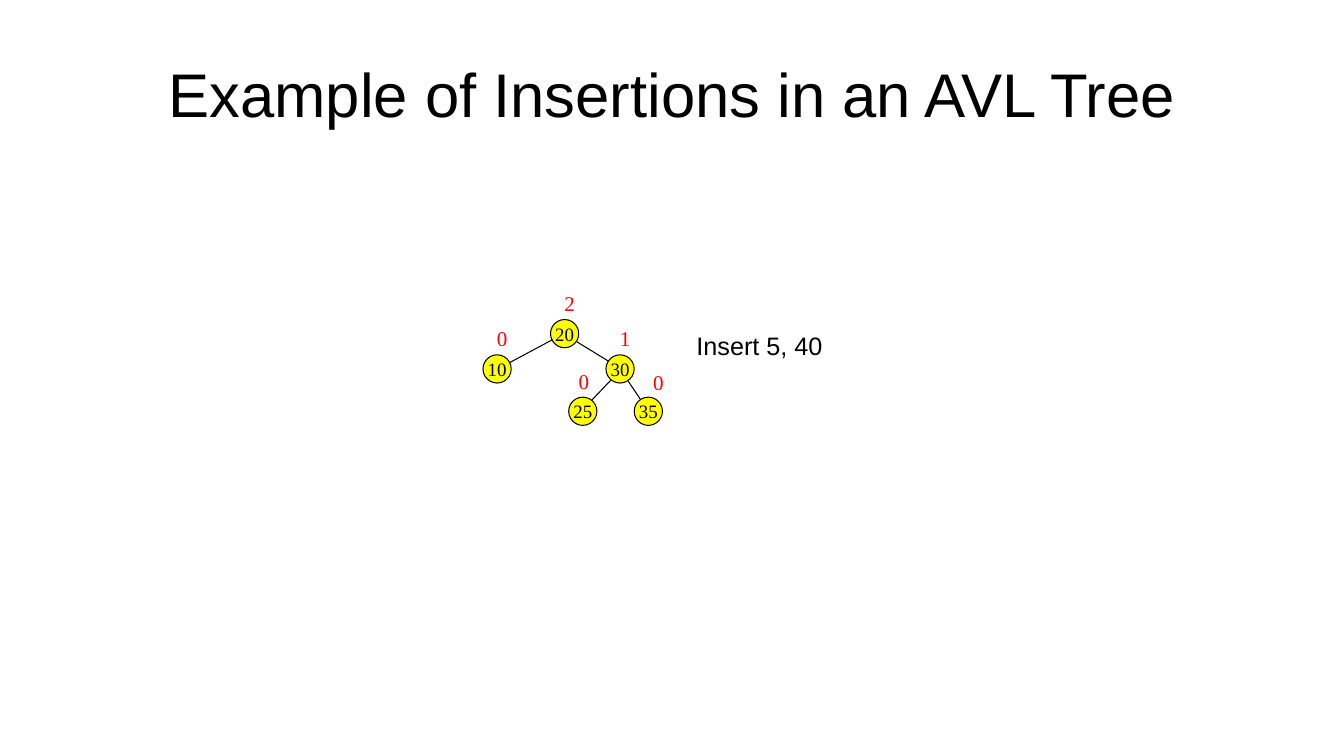
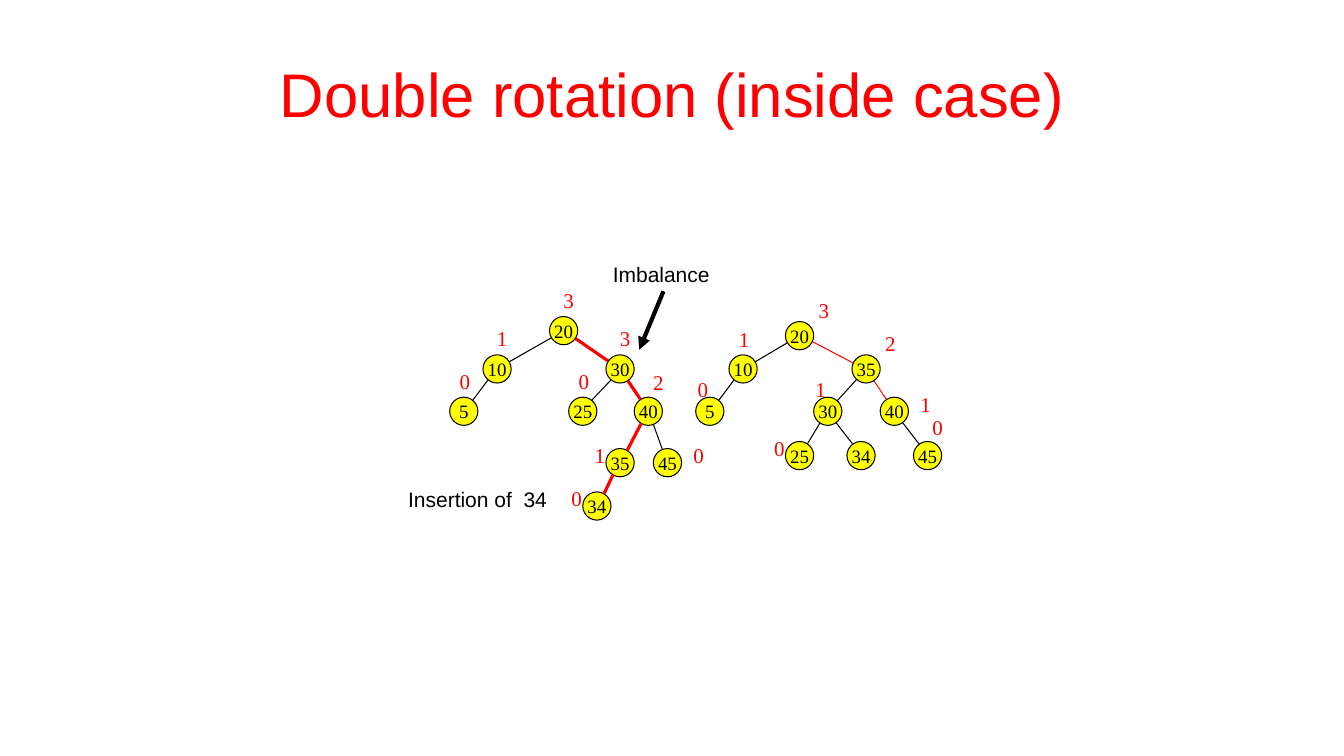
"""Build two slides on insertions and rotations in AVL trees."""
import math

from lxml import etree
from pptx import Presentation
from pptx import util as u
from pptx.dml.color import RGBColor
from pptx.enum import shapes, text
from pptx.oxml.ns import qn

PX = 9144
BLACK, RED, YELLOW, WHITE = "000000", "FF0000", "FFFF00", "FFFFFF"
SANS, SERIF = "Arial", "Times New Roman"
NODE = 28
RADIUS = NODE // 2
LABEL_W, LABEL_H = 30, 35
THIN, BOLD, HEAVY = 0.75, 2.25, 3
PLACES = {
    "above": (4, -34), "over": (0, -33), "outer": (9, -32), "corner": (23, -29),
    "shoulder": (-8, -25), "left": (-21, -11), "right": (30, -11),
}


def write(sp, content, size, font=SANS, color=BLACK, align="LEFT", anchor="TOP", wrap=True):
    tf = sp.text_frame
    tf.word_wrap = wrap
    tf.vertical_anchor = getattr(text.MSO_ANCHOR, anchor)
    p = tf.paragraphs[0]
    p.alignment = getattr(text.PP_ALIGN, align)
    r = p.add_run()
    r.text = content
    r.font.size = u.Pt(size)
    r.font.name = font
    r.font.color.rgb = RGBColor.from_string(color)


def connect(s, start, end, color=BLACK, width=THIN, head=False):
    cx = s.shapes.add_connector(shapes.MSO_CONNECTOR.STRAIGHT,
                                *[round(v) * PX for v in (*start, *end)])
    cx.line.color.rgb = RGBColor.from_string(color)
    cx.line.width = u.Pt(width)
    if head:
        etree.SubElement(cx._element.spPr.find(qn("a:ln")), qn("a:tailEnd"), type="triangle")
    etree.SubElement(cx._element.spPr, qn("a:effectLst"))


start_tree = {
    "rows": (317, 352, 394), "red": (), "width": THIN,
    "nodes": [(20, None, 546, "2", "above"), (10, 20, 479, "0", "above"),
              (30, 20, 601, "1", "above"), (25, 30, 564, "0", "over"),
              (35, 30, 629, "0", "outer")],
}
unbalanced_tree = {
    "rows": (314, 352, 394, 445, 488), "red": (30, 40, 35, 34), "width": BOLD,
    "nodes": [(20, None, 545, "3", "above"), (10, 20, 479, "1", "above"),
              (30, 20, 601, "3", "above"), (5, 10, 446, "0", "over"),
              (25, 30, 564, "0", "over"), (40, 30, 629, "2", "outer"),
              (35, 40, 601, "1", "left"), (45, 40, 648, "0", "right"),
              (34, 35, 578, "0", "left")],
}
rotated_tree = {
    "rows": (319, 352, 394, 438), "red": (35, 40), "width": THIN,
    "nodes": [(20, None, 779, "3", "corner"), (10, 20, 723, "1", "over"),
              (35, 20, 845, "2", "corner"), (5, 10, 690, "0", "shoulder"),
              (30, 35, 807, "1", "shoulder"), (40, 35, 873, "1", "right"),
              (25, 30, 779, "0", "left"), (34, 30, 840, "", "over"),
              (45, 40, 906, "0", "outer")],
}
slides = [
    ("Example of Insertions in an AVL Tree", BLACK, [start_tree],
     [("Insert 5, 40", 681, 323, 18)]),
    ("Double rotation (inside case)", RED, [unbalanced_tree, rotated_tree],
     [("Imbalance", 598, 255, 15), ("Insertion of  34", 395, 478, 15)]),
]

prs = Presentation()
prs.slide_width, prs.slide_height = 1333 * PX, 750 * PX

for title, title_color, trees, captions in slides:
    s = prs.slides.add_slide(prs.slide_layouts[6])
    s.background.fill.solid()
    s.background.fill.fore_color.rgb = RGBColor.from_string(WHITE)
    sp = s.shapes.add_textbox(67 * PX, 30 * PX, 1200 * PX, 125 * PX)
    write(sp, title, 44, color=title_color, align="CENTER", anchor="MIDDLE")

    for tree in trees:
        levels, centers = {None: -1}, {}
        for key, parent, x, height, place in tree["nodes"]:
            levels[key] = levels[parent] + 1
            y = tree["rows"][levels[key]]
            centers[key] = cx, cy = x + RADIUS, y + RADIUS
            sp = s.shapes.add_shape(shapes.MSO_SHAPE.OVAL, x * PX, y * PX, NODE * PX, NODE * PX)
            sp.shadow.inherit = False
            sp.fill.solid()
            sp.fill.fore_color.rgb = RGBColor.from_string(YELLOW)
            sp.line.color.rgb = RGBColor.from_string(BLACK)
            sp.line.width = u.Pt(THIN)
            write(sp, str(key), 13.5, font=SERIF, align="CENTER", anchor="MIDDLE", wrap=False)

            if parent is not None:
                px, py = centers[parent]
                angle = math.atan2(cy - py, cx - px)
                dx, dy = RADIUS * math.cos(angle), RADIUS * math.sin(angle)
                is_red = key in tree["red"]
                connect(s, (px + dx, py + dy), (cx - dx, cy - dy),
                        color=RED if is_red else BLACK, width=tree["width"] if is_red else THIN)

            if height:
                dx, dy = PLACES[place]
                sp = s.shapes.add_textbox((x + dx) * PX, (y + dy) * PX, LABEL_W * PX, LABEL_H * PX)
                write(sp, height, 15, font=SERIF, color=RED, wrap=False)

    for caption, x, y, size in captions:
        sp = s.shapes.add_textbox(x * PX, y * PX, 163 * PX, LABEL_H * PX)
        write(sp, caption, size)
        if caption == "Imbalance":
            connect(s, (658, 289), (634, 347), width=HEAVY, head=True)

prs.save("out.pptx")
